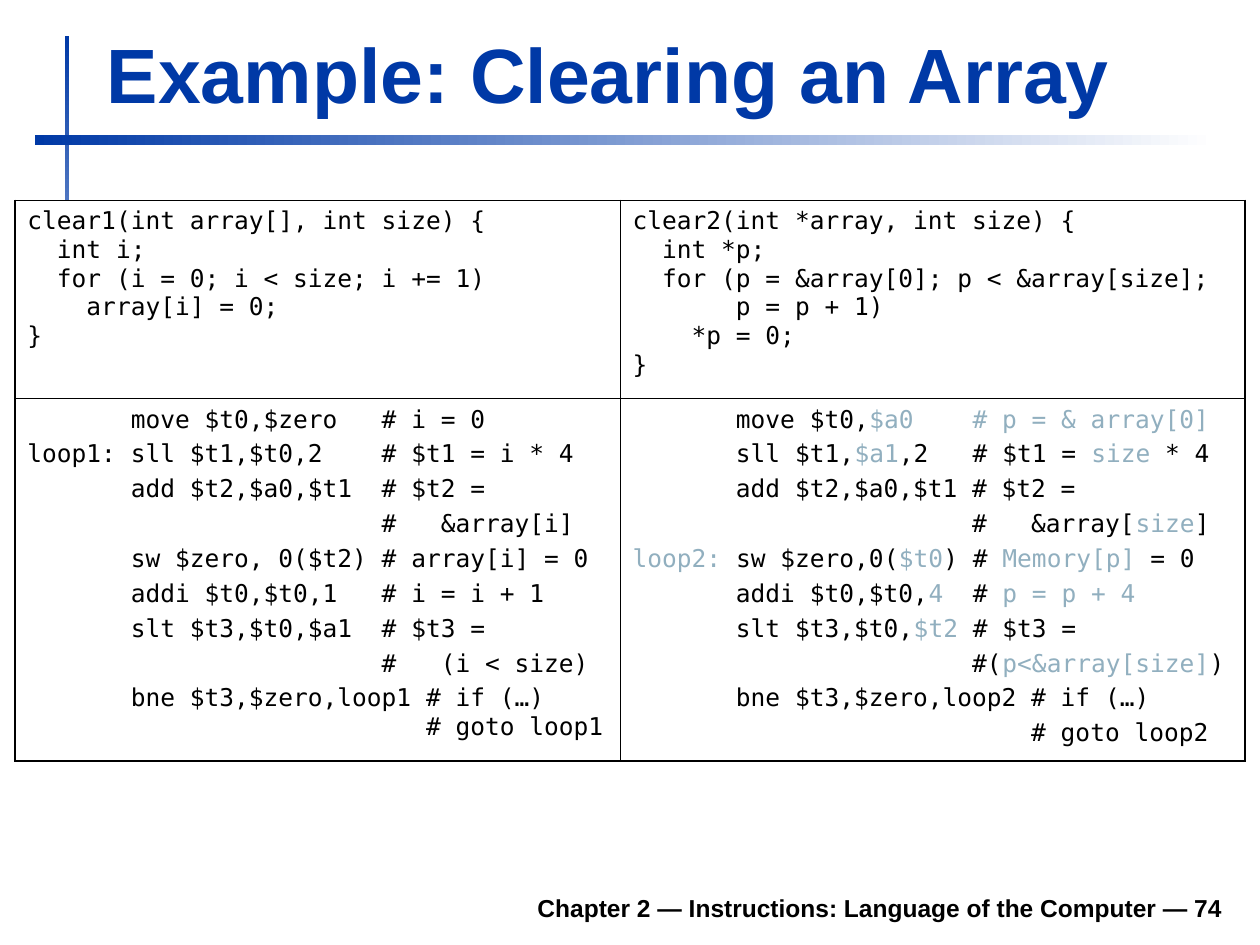
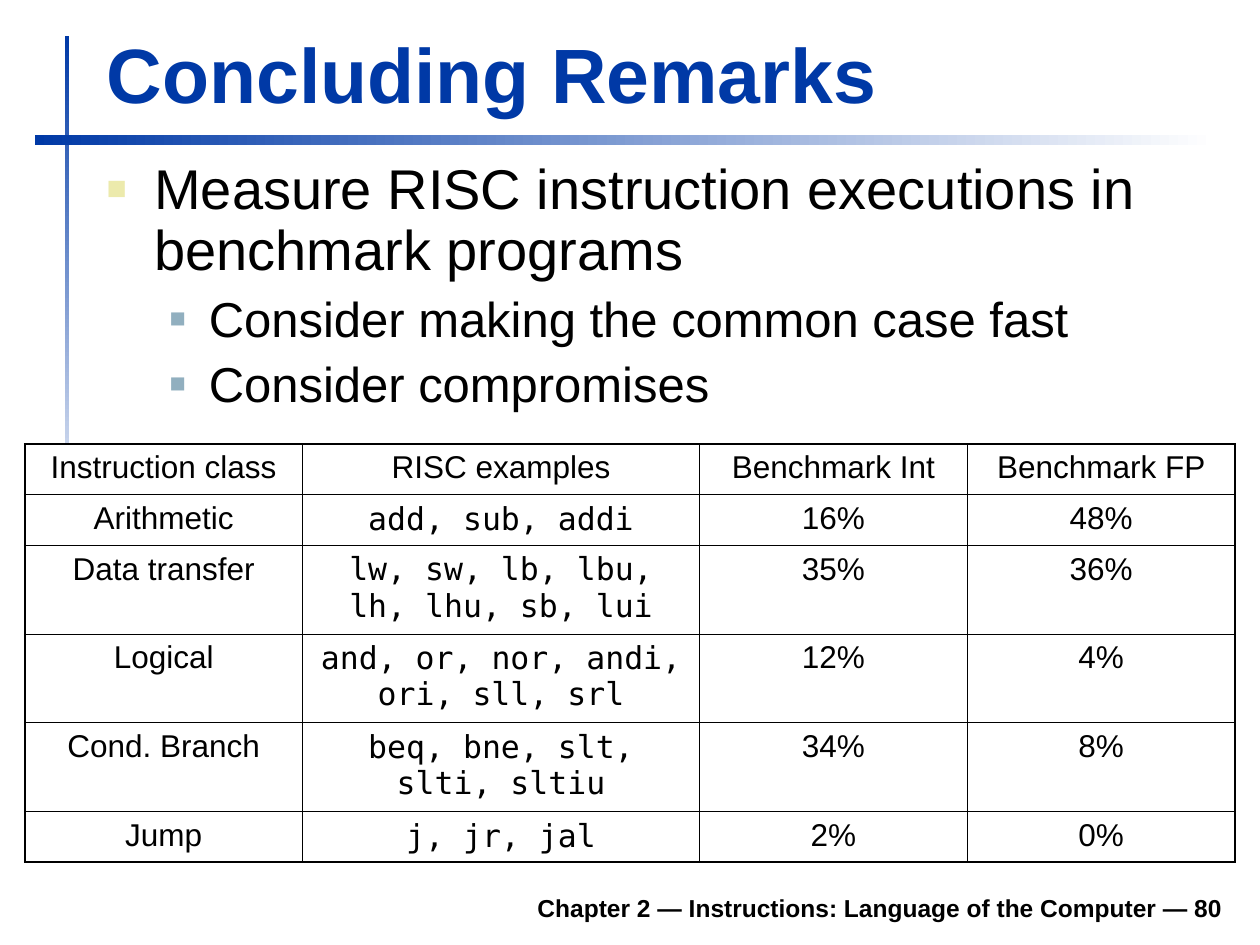
from lxml import etree
from pptx import Presentation
from pptx.dml.color import RGBColor
from pptx.enum.shapes import MSO_SHAPE
from pptx.enum.text import MSO_ANCHOR, MSO_AUTO_SIZE, PP_ALIGN
from pptx.oxml.ns import qn
from pptx.util import Cm, Pt

RECT = MSO_SHAPE.RECTANGLE
BOTTOM = MSO_ANCHOR.BOTTOM
FIXED = MSO_AUTO_SIZE.NONE
LEFT, MID, RIGHT = PP_ALIGN.LEFT, PP_ALIGN.CENTER, PP_ALIGN.RIGHT

BLUE, PALE, SAND, INK, WHITE = "0039A6", "91AFBF", "ECEAAC", "000000", "FFFFFF"
SANS, MONO = "Arial", "DejaVu Sans Mono"
THICK, HEAD, THIN = 1.08, 0.75, 0.45
FOOT = "Chapter 2 — Instructions: Language of the Computer — "

# Content: text between tildes takes the pale accent
CODE = [
    [
        """clear1(int array[], int size) {
  int i;
  for (i = 0; i < size; i += 1)
    array[i] = 0;
}""",
        """clear2(int *array, int size) {
  int *p;
  for (p = &array[0]; p < &array[size];
       p = p + 1)
    *p = 0;
}""",
    ],
    [
        """       move $t0,$zero   # i = 0
loop1: sll $t1,$t0,2    # $t1 = i * 4
       add $t2,$a0,$t1  # $t2 =
                        #   &array[i]
       sw $zero, 0($t2) # array[i] = 0
       addi $t0,$t0,1   # i = i + 1
       slt $t3,$t0,$a1  # $t3 =
                        #   (i < size)
       bne $t3,$zero,loop1 # if (…)\v                           # goto loop1""",
        """       move $t0,~$a0    # p = & array[0]~
       sll $t1,~$a1~,2   # $t1 = ~size~ * 4
       add $t2,$a0,$t1 # $t2 =
                       #   &array[~size~]
~loop2:~ sw $zero,0(~$t0~) # ~Memory[p]~ = 0
       addi $t0,$t0,~4~  # ~p = p + 4~
       slt $t3,$t0,~$t2~ # $t3 =
                       #(~p<&array[size]~)
       bne $t3,$zero,loop2 # if (…)
                           # goto loop2""",
    ],
]
POINTS = [
    (0, "Measure RISC instruction executions in benchmark programs"),
    (1, "Consider making the common case fast"),
    (1, "Consider compromises"),
]
# Per level: size, space before, indent, hang (cm), bullet colour, bullet size
LEVELS = [(32, 8, 0.96, 0.96, SAND, 60), (28, 7, 2.06, 0.79, PALE, 55)]
USAGE = [
    ["Instruction class", "RISC examples", "Benchmark Int", "Benchmark FP"],
    ["Arithmetic", "add, sub, addi", "16%", "48%"],
    ["Data transfer", "lw, sw, lb, lbu, lh, lhu, sb, lui", "35%", "36%"],
    ["Logical", "and, or, nor, andi, ori, sll, srl", "12%", "4%"],
    ["Cond. Branch", "beq, bne, slt, slti, sltiu", "34%", "8%"],
    ["Jump", "j, jr, jal", "2%", "0%"],
]


def tint(code):
    return RGBColor.from_string(code)


def style(para, size, face=SANS, color=INK, bold=False):
    for run in para.runs:
        font = run.font
        font.size, font.name, font.bold = Pt(size), face, bold
        font.color.rgb = tint(color)
    for gap in para._p.findall(qn("a:br")):
        etree.SubElement(gap, qn("a:rPr"), sz=str(size * 100))


def add_box(slide, place):
    frame = slide.shapes.add_textbox(*map(Cm, place)).text_frame
    frame.word_wrap = True
    return frame


# Shared frame: gradient bands, title, footer
def add_band(slide, place, angle):
    band = slide.shapes.add_shape(RECT, *map(Cm, place))
    band.shadow.inherit = False
    band.line.fill.background()
    band.fill.gradient()
    band.fill.gradient_angle = angle
    for stop, color in zip(band.fill.gradient_stops, (BLUE, WHITE)):
        stop.color.rgb = tint(color)


def add_page(deck, title, number):
    slide = deck.slides.add_slide(deck.slide_layouts[5])
    add_band(slide, (1.31, 0.72, 0.09, 10.59), 270)
    add_band(slide, (0.7, 2.72, 23.8, 0.2), 0)

    head = slide.shapes.title
    head.left, head.top, head.width, head.height = map(Cm, (1.9, 0.42, 22.94, 2.11))
    frame = head.text_frame
    frame.text = title
    frame.auto_size = FIXED
    frame.vertical_anchor = BOTTOM
    frame.paragraphs[0].alignment = LEFT
    style(frame.paragraphs[0], 44, color=BLUE, bold=True)

    foot = add_box(slide, (4.7, 17.73, 20.2, 0.99))
    foot.text = f"{FOOT}{number}"
    foot.vertical_anchor = BOTTOM
    foot.paragraphs[0].alignment = RIGHT
    style(foot.paragraphs[0], 14, bold=True)
    return slide


# Tables: thick outside, thin inside
def edge_cell(cell, widths):
    cell.fill.solid()
    cell.fill.fore_color.rgb = tint(WHITE)
    props = cell._tc.get_or_add_tcPr()
    for spot, (side, width) in enumerate(zip("LRTB", widths)):
        line = etree.Element(qn(f"a:ln{side}"), w=str(int(Pt(width))))
        fill = etree.SubElement(line, qn("a:solidFill"))
        etree.SubElement(fill, qn("a:srgbClr"), val=INK)
        props.insert(spot, line)


def add_grid(slide, left, top, cols, rows, rule=THIN):
    """Add a bordered table; rule is the line width under its first row."""
    shape = slide.shapes.add_table(
        len(rows), len(cols), Cm(left), Cm(top), Cm(sum(cols)), Cm(sum(rows)))
    table = shape.table
    table.first_row = table.horz_banding = False
    for part, width in zip(table.columns, cols):
        part.width = Cm(width)
    for part, height in zip(table.rows, rows):
        part.height = Cm(height)
    across = [THICK] + [THIN] * (len(cols) - 1) + [THICK]
    down = [THICK, rule] + [THIN] * (len(rows) - 2) + [THICK]
    for r in range(len(rows)):
        for c in range(len(cols)):
            edge_cell(table.cell(r, c), across[c:c + 2] + down[r:r + 2])
    return table


def fill_code(cell, text, gap):
    frame = cell.text_frame
    for n, line in enumerate(text.split("\n")):
        para = frame.add_paragraph() if n else frame.paragraphs[0]
        first, *rest = line.split("~")
        para.text = first
        marked = []
        for i, piece in enumerate(rest):
            if piece:
                run = para.add_run()
                run.text = piece
                if i % 2 == 0:
                    marked.append(run)
        style(para, 14, MONO)
        for run in marked:
            run.font.color.rgb = tint(PALE)
        if n:
            para.space_before = Pt(gap)


def add_points(slide):
    frame = add_box(slide, (1.9, 3.13, 22.96, 5.97))
    for n, (level, text) in enumerate(POINTS):
        size, gap, indent, hang, color, scale = LEVELS[level]
        para = frame.add_paragraph() if n else frame.paragraphs[0]
        para.text = text
        para.level = level
        para.line_spacing = 0.9
        if n:
            para.space_before = Pt(gap)
        props = para._p.get_or_add_pPr()
        props.set("marL", str(int(Cm(indent))))
        props.set("indent", str(-int(Cm(hang))))
        shade = etree.SubElement(props, qn("a:buClr"))
        etree.SubElement(shade, qn("a:srgbClr"), val=color)
        etree.SubElement(props, qn("a:buSzPct"), val=str(scale * 1000))
        etree.SubElement(props, qn("a:buFont"), typeface=SANS)
        etree.SubElement(props, qn("a:buChar"), char="■")
        style(para, size)


def main():
    deck = Presentation()
    deck.slide_width, deck.slide_height = Cm(25.4), Cm(19.05)

    # Array code against pointer code
    slide = add_page(deck, "Example: Clearing an Array", 74)
    table = add_grid(slide, 0.3, 4.04, (12.2, 12.6), (4, 7.3))
    for r, (row, gap) in enumerate(zip(CODE, (0, 3.5))):
        for c, text in enumerate(row):
            fill_code(table.cell(r, c), text, gap)

    # Remarks and instruction usage
    slide = add_page(deck, "Concluding Remarks", 80)
    add_points(slide)
    heights = (1.02, 1.02, 1.79, 1.79, 1.79, 1.02)
    table = add_grid(slide, 0.5, 8.95, (5.6, 8, 5.4, 5.4), heights, HEAD)
    for r, row in enumerate(USAGE):
        for c, text in enumerate(row):
            cell = table.cell(r, c)
            cell.text_frame.text = text
            para = cell.text_frame.paragraphs[0]
            para.alignment = MID
            style(para, 18, MONO if r and c == 1 else SANS)

    deck.save("out.pptx")


if __name__ == "__main__":
    main()
